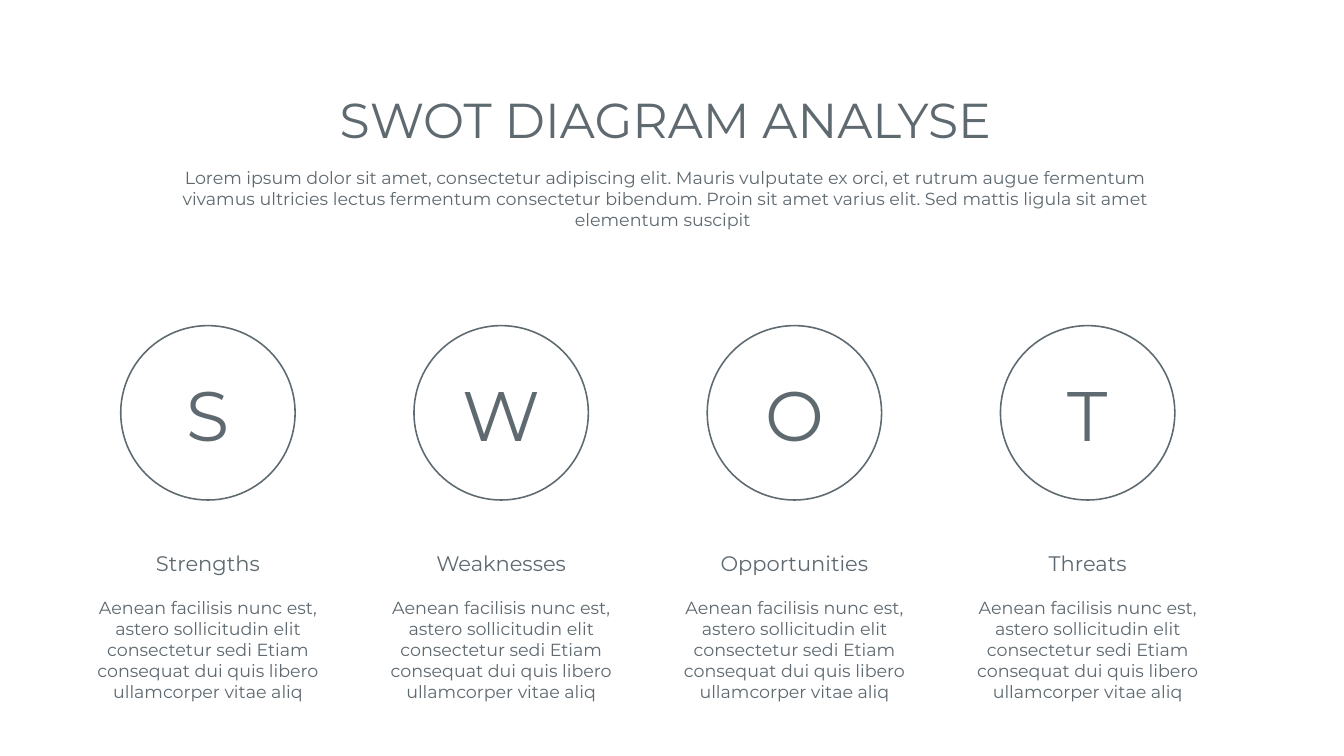
from pptx import Presentation
from pptx.dml.color import RGBColor
from pptx.enum import shapes, text
from pptx.util import Cm, Pt

TITLE = "SWOT DIAGRAM ANALYSE"
INTRO = (
    "Lorem ipsum dolor sit amet, consectetur adipiscing elit. Mauris vulputate ex orci, "
    "et rutrum augue fermentum vivamus ultricies lectus fermentum consectetur bibendum. "
    "Proin sit amet varius elit. Sed mattis ligula sit amet elementum suscipit "
)
TOPICS = ["Strengths", "Weaknesses", "Opportunities", "Threats"]
DETAIL = (
    "Aenean facilisis nunc est, astero sollicitudin elit consectetur sedi Etiam "
    "consequat dui quis libero ullamcorper vitae aliq"
)

FONT = "Montserrat"
SLATE = "5E6970"

# Column layout, in centimetres
FIRST_CENTER, STEP = 10.48, 14.78
CIRCLE, CIRCLE_TOP = 8.79, 16.41
LETTER_W, LETTER_H, LETTER_TOP = 5.77, 3.73, 19.41
TOPIC_W, TOPIC_H, TOPIC_TOP = 13.34, 9.25, 26.34


def color(hex_string):
    return RGBColor.from_string(hex_string)


def place(sp, left, top, width, height):
    sp.left, sp.top, sp.width, sp.height = Cm(left), Cm(top), Cm(width), Cm(height)


def write(p, content, size=25, spacing=None, before=0):
    p.alignment = text.PP_ALIGN.CENTER
    p.space_before = Pt(before)
    if spacing:
        p.line_spacing = spacing
    r = p.add_run()
    r.text = content
    r.font.name, r.font.size = FONT, Pt(size)
    r.font.color.rgb = color(SLATE)


def prepare(sp):
    """Make the shape wrap its text from the top and return its text frame."""
    tf = sp.text_frame
    tf.word_wrap = True
    tf.auto_size = text.MSO_AUTO_SIZE.SHAPE_TO_FIT_TEXT
    tf.vertical_anchor = text.MSO_ANCHOR.TOP
    return tf


def add_text_box(parent, left, top, width, height):
    return prepare(parent.add_textbox(Cm(left), Cm(top), Cm(width), Cm(height)))


def add_badge(s, letter, center):
    group = s.shapes.add_group_shape().shapes
    circle = group.add_shape(
        shapes.MSO_SHAPE.OVAL,
        Cm(center - CIRCLE / 2), Cm(CIRCLE_TOP), Cm(CIRCLE), Cm(CIRCLE),
    )
    circle.shadow.inherit = False
    circle.fill.background()
    circle.line.color.rgb = color(SLATE)
    circle.line.width = Pt(2.25)
    tf = add_text_box(group, center - LETTER_W / 2, LETTER_TOP, LETTER_W, LETTER_H)
    write(tf.paragraphs[0], letter, size=100, spacing=0.8)


def add_topic(s, name, center):
    tf = add_text_box(s.shapes, center - TOPIC_W / 2, TOPIC_TOP, TOPIC_W, TOPIC_H)
    write(tf.paragraphs[0], name, size=30, spacing=2.0)
    write(tf.add_paragraph(), DETAIL, before=30.5)


def main():
    prs = Presentation()
    prs.slide_width, prs.slide_height = Cm(67.74), Cm(38.1)
    s = prs.slides.add_slide(prs.slide_layouts[5])

    title = s.shapes.title
    place(title, 13, 4.95, 41.07, 2.69)
    write(prepare(title).paragraphs[0], TITLE, size=70, spacing=0.8)

    intro = add_text_box(s.shapes, 7.85, 8.31, 51.33, 3.45)
    write(intro.paragraphs[0], INTRO)

    for i, name in enumerate(TOPICS):
        center = FIRST_CENTER + i * STEP
        add_badge(s, name[0], center)
        add_topic(s, name, center)

    prs.save("out.pptx")


if __name__ == "__main__":
    main()
